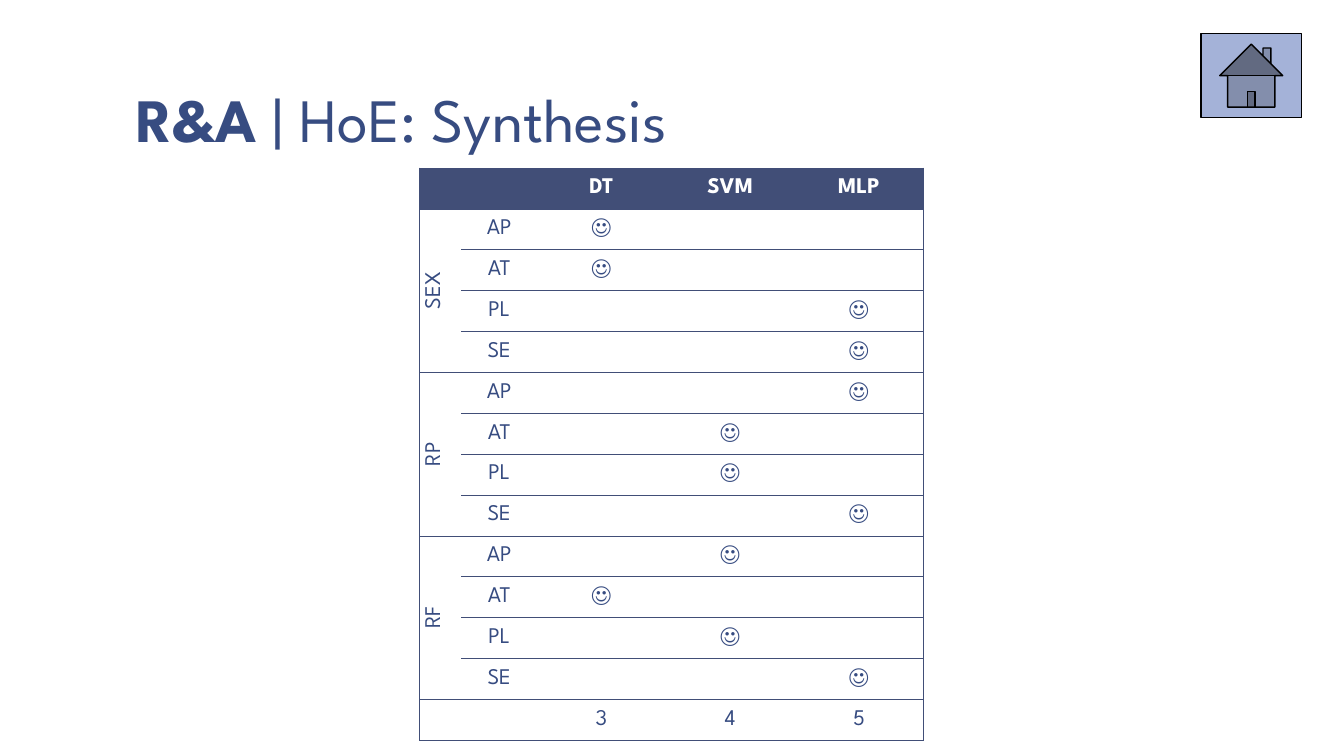
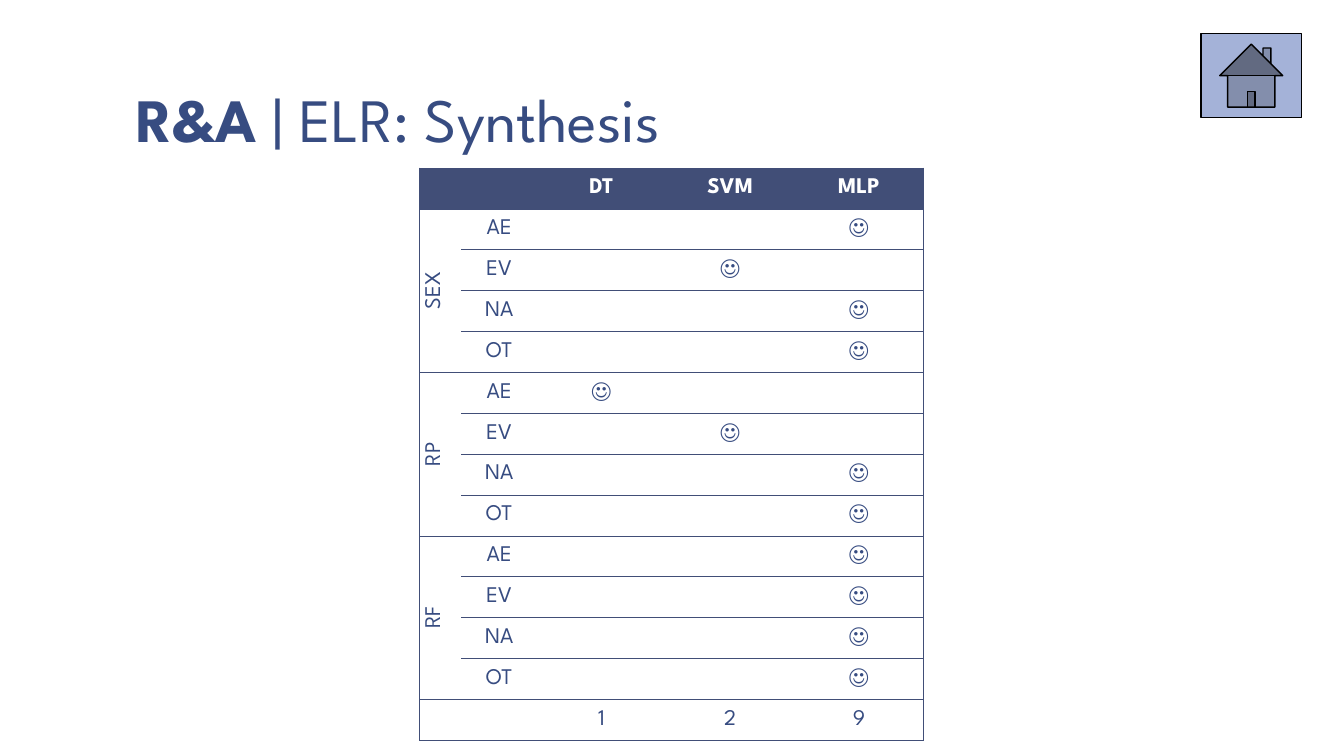
from lxml import etree
from pptx import Presentation
from pptx.dml.color import RGBColor
from pptx.enum.shapes import MSO_SHAPE
from pptx.enum.text import MSO_ANCHOR, PP_ALIGN
from pptx.oxml.ns import qn
from pptx.util import Pt

HOME = MSO_SHAPE.ACTION_BUTTON_HOME
MIDDLE, BOTTOM = MSO_ANCHOR.MIDDLE, MSO_ANCHOR.BOTTOM
CENTER = PP_ALIGN.CENTER

FONT = "League Spartan"
BLUE, SLATE, LIGHT, WHITE, BLACK = "374C81", "414E77", "A4B2D8", "FFFFFF", "000000"
NO_STYLE = "{2D5ABB26-0587-4C30-8999-92F81FD0307C}"

MODELS = ["DT", "SVM", "MLP"]
GROUPS = ["SEX", "RP", "RF"]
COLUMN_WIDTHS = [30, 54, 92, 92, 92]
ROW_HEIGHT = 29.2

# Each slide: topic, measures of every group, best model for each row in order
SLIDES = [
    ("HoE", ["AP", "AT", "PL", "SE"],
     "DT DT MLP MLP  MLP SVM SVM MLP  SVM DT SVM MLP".split()),
    ("ELR", ["AE", "EV", "NA", "OT"],
     "MLP SVM MLP MLP  DT SVM MLP MLP  MLP MLP MLP MLP".split()),
]


def rgb(value):
    return RGBColor.from_string(value)


def add_span(para, text, size, color, bold=False):
    span = para.add_run()
    span.text = text
    span.font.color.rgb = rgb(color)
    for name, value in {"name": FONT, "size": Pt(size), "bold": bold}.items():
        setattr(span.font, name, value)


deck = Presentation()
deck.slide_width, deck.slide_height = Pt(960), Pt(540)

for topic, measures, winners in SLIDES:
    page = deck.slides.add_slide(deck.slide_layouts[6])

    title = page.shapes.add_textbox(Pt(88), Pt(6), Pt(800), Pt(110)).text_frame
    frame_format = {"word_wrap": True, "vertical_anchor": BOTTOM,
                    "margin_left": Pt(9.4), "margin_right": Pt(9.4),
                    "margin_top": Pt(5), "margin_bottom": Pt(5)}
    for name, value in frame_format.items():
        setattr(title, name, value)
    para = title.paragraphs[0]
    para.line_spacing = 0.85
    add_span(para, "R&A", 44, BLUE, bold=True)
    add_span(para, f" | {topic}: Synthesis", 44, BLUE)

    home = page.shapes.add_shape(HOME, Pt(857.8), Pt(24), Pt(72), Pt(60))
    home.shadow.inherit = False
    home.fill.solid()
    home.fill.fore_color.rgb = rgb(LIGHT)
    home.line.color.rgb = rgb(BLACK)
    home.line.width = Pt(1)

    rows = [["", ""] + MODELS]
    for index, winner in enumerate(winners):
        group, position = divmod(index, len(measures))
        label = GROUPS[group] if position == 0 else ""
        marks = ["☺" if model == winner else "" for model in MODELS]
        rows.append([label, measures[position]] + marks)
    rows.append(["", ""] + [str(winners.count(model)) for model in MODELS])

    last_row, last_column = len(rows) - 1, len(COLUMN_WIDTHS) - 1
    table = page.shapes.add_table(
        len(rows), len(COLUMN_WIDTHS), Pt(299.6), Pt(120),
        Pt(sum(COLUMN_WIDTHS)), Pt(ROW_HEIGHT * len(rows))).table
    table.first_row = table.horz_banding = False
    table._tbl.tblPr.find(qn("a:tableStyleId")).text = NO_STYLE
    for column, width in zip(table.columns, COLUMN_WIDTHS):
        column.width = Pt(width)

    for r, texts in enumerate(rows):
        table.rows[r].height = Pt(ROW_HEIGHT)
        starts_group = r == last_row or (r - 1) % len(measures) == 0
        for c, text in enumerate(texts):
            cell = table.cell(r, c)
            cell.vertical_anchor = MIDDLE
            properties = cell._tc.get_or_add_tcPr()
            borders = {"lnL": c == 0, "lnR": c == last_column,
                       "lnT": r == 0 or c > 0 or starts_group,
                       "lnB": r == last_row}
            for side, shown in borders.items():
                if shown:
                    line = etree.SubElement(properties, qn(f"a:{side}"), w=str(Pt(0.5)))
                    fill = etree.SubElement(line, qn("a:solidFill"))
                    etree.SubElement(fill, qn("a:srgbClr"), val=SLATE)
            if r == 0:
                cell.fill.solid()
                cell.fill.fore_color.rgb = rgb(SLATE)
            else:
                cell.fill.background()
            if c == 0 and text:
                properties.set("vert", "vert270")
                cell.merge(table.cell(r + len(measures) - 1, c))
            if text:
                para = cell.text_frame.paragraphs[0]
                para.alignment = CENTER
                add_span(para, text, 16, WHITE if r == 0 else BLUE, bold=r == 0)

deck.save("out.pptx")
